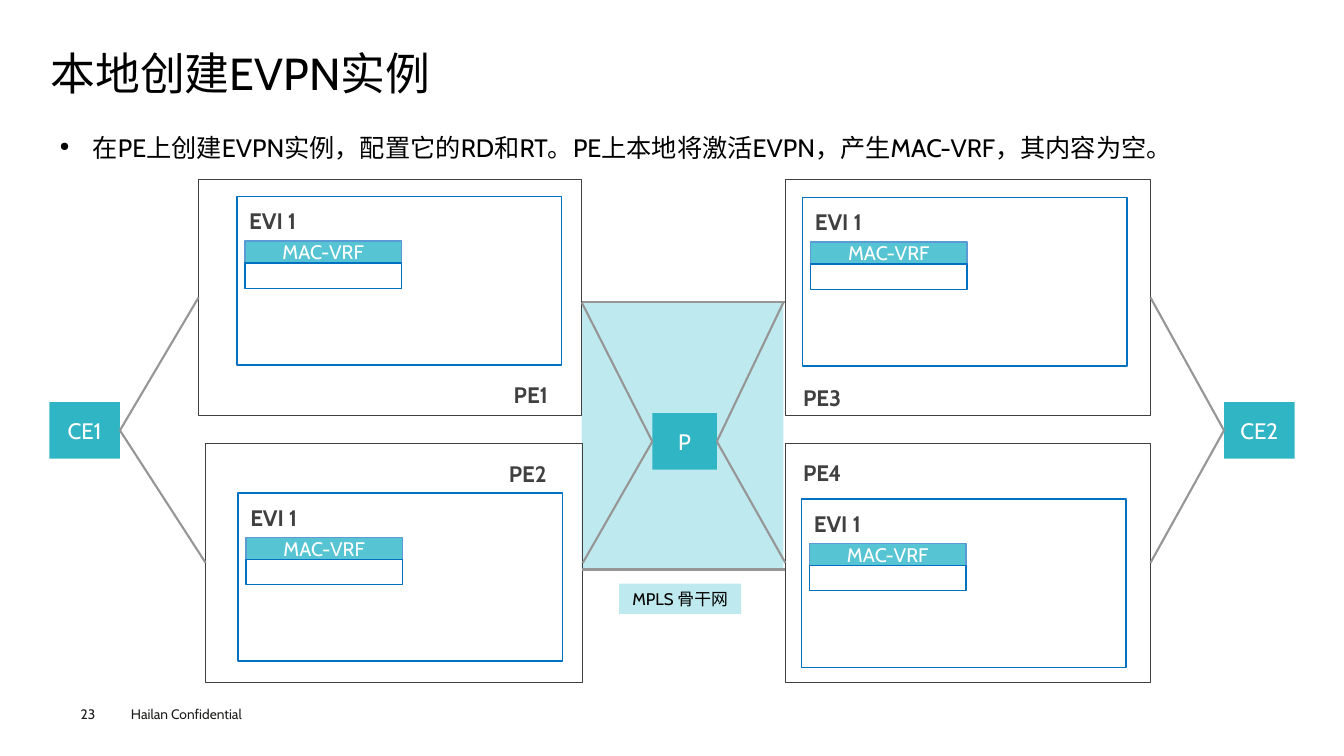
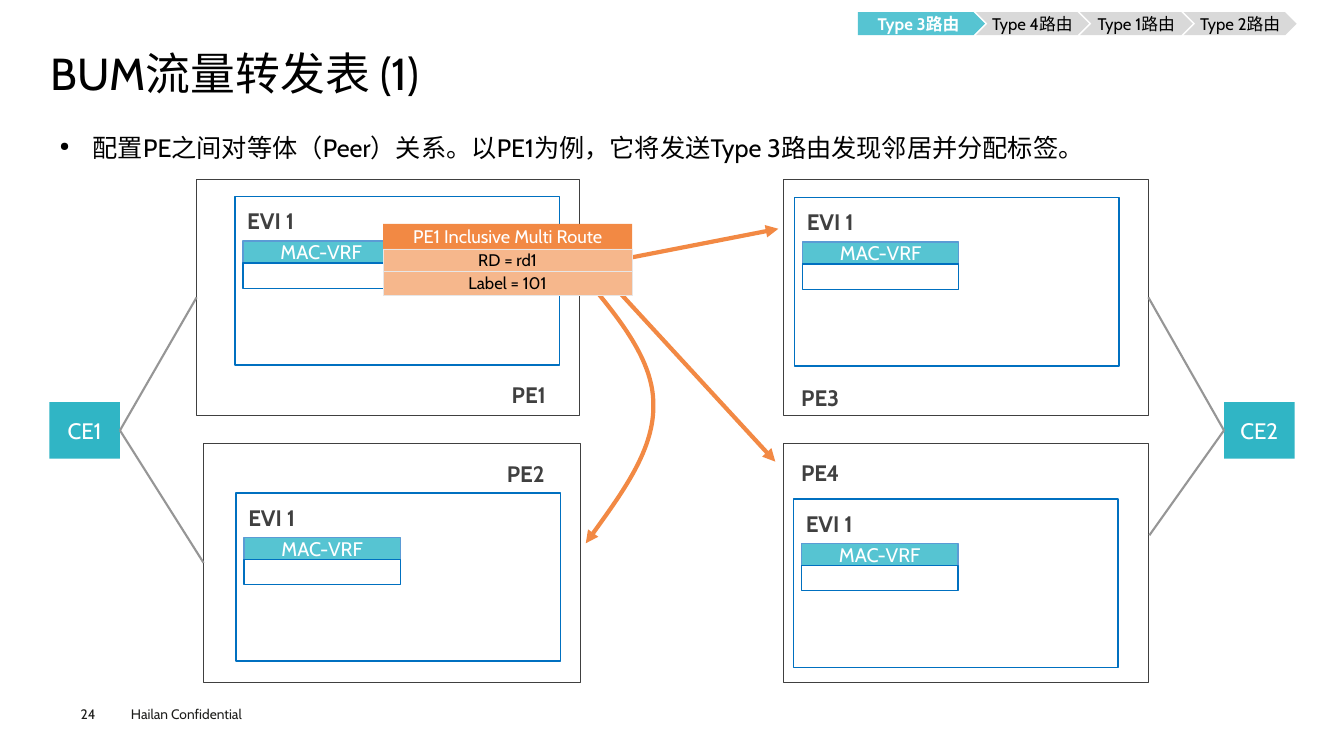
from pptx import Presentation
from pptx.dml.color import RGBColor
from pptx.enum.shapes import MSO_CONNECTOR, MSO_SHAPE
from pptx.enum.text import MSO_ANCHOR, MSO_AUTO_SIZE, PP_ALIGN
from pptx.oxml.xmlchemy import OxmlElement
from pptx.util import Inches, Pt

RECTANGLE, CHEVRON, PENTAGON = MSO_SHAPE.RECTANGLE, MSO_SHAPE.CHEVRON, MSO_SHAPE.PENTAGON
STRAIGHT = MSO_CONNECTOR.STRAIGHT
LEFT, CENTER, JUSTIFY = PP_ALIGN.LEFT, PP_ALIGN.CENTER, PP_ALIGN.JUSTIFY
TOP, MIDDLE = MSO_ANCHOR.TOP, MSO_ANCHOR.MIDDLE
NO_AUTOFIT = MSO_AUTO_SIZE.NONE
LEFT_SIDE, RIGHT_SIDE = 1, 3
TITLE_ONLY = 5
FONT = "Cabin"
COLORS = {
    "black": "000000", "white": "FFFFFF", "footer": "1D1D1B", "dark": "404040",
    "link": "969696", "blue": "0070C0", "vrf_line": "5B9BD5", "vrf": "56C4D2",
    "node": "30B5C5", "backbone": "BEE9EE", "route": "F28944", "route_row": "F6B78C",
    "route_line": "E7E6E6", "step": "D9D9D9",
}
ROUTERS = {
    "PE1": {"box": (1.97, 1.78, 3.8, 2.34), "label": (3, 1.95), "evi": (0.38, 0.17)},
    "PE2": {"box": (2.04, 4.4, 3.74, 2.37), "label": (2.9, 0.12), "evi": (0.32, 0.49)},
    "PE3": {"box": (7.79, 1.78, 3.62, 2.34), "label": (0.07, 1.98), "evi": (0.17, 0.18)},
    "PE4": {"box": (7.79, 4.4, 3.62, 2.37), "label": (0.07, 0.11), "evi": (0.16, 0.55)},
}


def rgb(name):
    """Return a palette colour."""
    return RGBColor.from_string(COLORS[name])


def inches(values):
    """Convert a row of numbers to lengths."""
    return [Inches(value) for value in values]


def format_text(frame, size, color, align=LEFT, bold=False):
    """Format every run of a text frame."""
    for para in frame.paragraphs:
        para.alignment = align
        for span in para.runs:
            span.font.name = FONT
            span.font.size = Pt(size)
            span.font.bold = bold
            span.font.color.rgb = rgb(color)


def set_insets(frame, horizontal=0, vertical=0):
    """Set the inner margins of a text frame."""
    frame.margin_left = frame.margin_right = Inches(horizontal)
    frame.margin_top = frame.margin_bottom = Inches(vertical)


def add_box(shapes, box, fill=None, line=None, width=1, text="", size=16,
            color="white", bold=False, preset=RECTANGLE):
    """Add a preset shape with optional centred text."""
    shape = shapes.add_shape(preset, *inches(box))
    shape.shadow.inherit = False
    if fill:
        shape.fill.solid()
        shape.fill.fore_color.rgb = rgb(fill)
    else:
        shape.fill.background()
    if line:
        shape.line.color.rgb = rgb(line)
        shape.line.width = Pt(width)
    else:
        shape.line.fill.background()
    if text:
        frame = shape.text_frame
        frame.text = text
        set_insets(frame)
        frame.vertical_anchor = MIDDLE
        format_text(frame, size, color, CENTER, bold)
    return shape


def add_text(page, box, text, size, color, align=LEFT, bold=False, wrap=True):
    """Add a text box."""
    frame = page.shapes.add_textbox(*inches(box)).text_frame
    frame.text = text
    frame.word_wrap = wrap
    frame.vertical_anchor = TOP
    format_text(frame, size, color, align, bold)
    return frame


def add_arrowhead(shape):
    """Put a triangle at the end of a line."""
    tip = OxmlElement("a:tailEnd")
    tip.set("type", "triangle")
    shape._element.xpath(".//a:ln")[0].append(tip)


def add_line(page, start, end, color="link", width=1.5):
    """Add a straight line without a shadow."""
    line = page.shapes.add_connector(STRAIGHT, *inches(start + end))
    line.line.color.rgb = rgb(color)
    line.line.width = Pt(width)
    line._element.spPr.append(OxmlElement("a:effectLst"))
    return line


def add_link(page, hub, side, peer):
    """Link a hub's side to the facing side of a peer, or to a point."""
    line = add_line(page, (0, 0), (0, 0))
    line.begin_connect(hub, side)
    if isinstance(peer, tuple):
        line.end_x, line.end_y = inches(peer)
    else:
        line.end_connect(peer, LEFT_SIDE + RIGHT_SIDE - side)


def add_curved_arrow(page, points):
    """Add an arrow of cubic curves through every third point."""
    start, *rest = [tuple(inches(point)) for point in points]
    builder = page.shapes.build_freeform(*start, scale=1.0)
    builder.add_line_segments(rest, close=False)
    arrow = builder.convert_to_shape()
    segments = arrow._element.xpath(".//a:lnTo")
    for first in range(0, len(segments), 3):
        curve = OxmlElement("a:cubicBezTo")
        segments[first].addprevious(curve)
        for segment in segments[first:first + 3]:
            curve.append(segment[0])
            segment.getparent().remove(segment)
    arrow.shadow.inherit = False
    arrow.fill.background()
    arrow.line.color.rgb = rgb("route")
    arrow.line.width = Pt(3)
    add_arrowhead(arrow)


def add_page(deck, number, title, bullet):
    """Add a page with title, bullet and footer."""
    page = deck.slides.add_slide(deck.slide_layouts[TITLE_ONLY])
    heading = page.shapes.title
    heading.left, heading.top, heading.width, heading.height = inches((0.5, 0.49, 12.35, 0.53))
    frame = heading.text_frame
    frame.text = title
    frame.auto_size = NO_AUTOFIT
    frame.vertical_anchor = MIDDLE
    set_insets(frame)
    frame.paragraphs[0].line_spacing = 0.9
    format_text(frame, 32, "black")

    frame = add_text(page, (0.5, 1.15, 12.35, 0.6), bullet, 18, "black", JUSTIFY)
    set_insets(frame, 0.09, 0.04)
    para = frame.paragraphs[0]
    para.line_spacing = 1.4
    props = para._p.get_or_add_pPr()
    props.set("marL", str(Inches(0.33)))
    props.set("indent", str(Inches(-0.33)))
    for tag, key, value in (("a:buSzPct", "val", "50000"), ("a:buChar", "char", "●")):
        mark = OxmlElement(tag)
        mark.set(key, value)
        props.append(mark)

    add_text(page, (1.2, 6.95, 1.6, 0.27), "Hailan Confidential", 9.8, "footer")
    set_insets(add_text(page, (0.8, 7, 0.55, 0.16), str(number), 9.8, "footer"))
    return page


def add_evi(page, left, top):
    """Add an EVI frame with its empty MAC-VRF."""
    add_box(page.shapes, (left, top, 3.22, 1.67), line="blue")
    add_box(page.shapes, (left + 0.08, top + 0.44, 1.55, 0.22), "vrf", "vrf_line",
            text="MAC-VRF", size=14)
    add_text(page, (left - 0.02, top + 0.06, 0.75, 0.37), "EVI 1", 16, "dark", CENTER, True, False)
    add_box(page.shapes, (left + 0.08, top + 0.66, 1.55, 0.25), line="blue")


def add_routers(page, shift=0, right_shift=0):
    """Add the four PE routers and return them by name."""
    routers = {}
    for name, router in ROUTERS.items():
        left, top, width, height = router["box"]
        left += shift
        label_x, label_y = router["label"]
        evi_x, evi_y = router["evi"]
        if name in ("PE3", "PE4"):
            evi_x += right_shift
        routers[name] = add_box(page.shapes, (left, top, width, height), line="dark")
        add_text(page, (left + label_x, top + label_y, 0.59, 0.37), name, 16, "dark",
                 CENTER, True, False)
        add_evi(page, left + evi_x, top + evi_y)
    return routers


def add_customers(page, left_peers, right_peers):
    """Add both CE nodes and their links."""
    for name, left, side, peers in (("CE1", 0.49, RIGHT_SIDE, left_peers),
                                    ("CE2", 12.14, LEFT_SIDE, right_peers)):
        node = add_box(page.shapes, (left, 3.99, 0.7, 0.56), "node", text=name)
        for peer in peers:
            add_link(page, node, side, peer)


def add_backbone(page, routers):
    """Add the P node, its links and the backbone label."""
    for height in (3, 5.65):
        add_line(page, (5.77, height), (7.79, height))
    core = add_box(page.shapes, (6.47, 4.1, 0.64, 0.56), "node", text="P")
    for side, peers in ((LEFT_SIDE, ((5.77, 3), routers["PE2"])),
                        (RIGHT_SIDE, ((7.77, 3), routers["PE4"]))):
        for peer in peers:
            add_link(page, core, side, peer)
    add_box(page.shapes, (6.14, 5.79, 1.21, 0.3), "backbone", text="MPLS 骨干网",
            size=12, color="black")


def add_route(page, left, top, width):
    """Add the route message and its arrows."""
    add_curved_arrow(page, ((5.8, 2.75), (6.14, 3.16), (6.48, 3.57), (6.48, 4.01),
                            (6.49, 4.45), (6.15, 4.92), (5.81, 5.39)))
    for start, end in (((5.83, 2.56), (7.69, 4.58)), ((5.67, 2.67), (7.72, 2.27))):
        add_arrowhead(add_line(page, start, end, "route", 3))
    message = page.shapes.add_group_shape().shapes
    add_box(message, (left, top, width, 0.25), "route", text="PE1 Inclusive Multi Route", size=13)
    for text, offset, height in (("RD = rd1", 0.25, 0.22), ("Label = 101", 0.47, 0.24)):
        add_box(message, (left, top + offset, width, height), "route_row", "route_line", 0.25,
                text, 12, "black")


def add_steps(page, left, top):
    """Add the route type trail with its first step active."""
    for index, kind in enumerate((4, 1, 2)):
        add_box(page.shapes, (left + 1.17 + 1.03 * index, top, 1.12, 0.23), "step",
                text=f"Type {kind}路由", size=12, color="black", preset=CHEVRON)
    add_box(page.shapes, (left, top, 1.26, 0.23), "vrf", text="Type 3路由", size=12,
            bold=True, preset=PENTAGON)


def build_instance_page(deck):
    """Build the page on creating EVPN instances."""
    page = add_page(deck, 23, "本地创建EVPN实例",
                    "在PE上创建EVPN实例，配置它的RD和RT。PE上本地将激活EVPN，产生MAC-VRF，其内容为空。")
    add_box(page.shapes, (5.77, 3, 2, 2.64), "backbone")
    routers = add_routers(page)
    add_backbone(page, routers)
    add_customers(page, (routers["PE1"], routers["PE2"]), (routers["PE3"], routers["PE4"]))


def build_forwarding_page(deck):
    """Build the page on the BUM forwarding table."""
    page = add_page(deck, 24, "BUM流量转发表 (1)",
                    "配置PE之间对等体（Peer）关系。以PE1为例，它将发送Type 3路由发现邻居并分配标签。")
    routers = add_routers(page, -0.02, -0.06)
    add_route(page, 3.8, 2.22, 2.47)
    add_steps(page, 8.51, 0.12)
    add_customers(page, (routers["PE1"], routers["PE2"]), (routers["PE3"], (11.4, 5.31)))


def main():
    """Build and save the deck."""
    deck = Presentation()
    deck.slide_width, deck.slide_height = inches((13.33, 7.5))
    build_instance_page(deck)
    build_forwarding_page(deck)
    deck.save("out.pptx")


if __name__ == "__main__":
    main()
